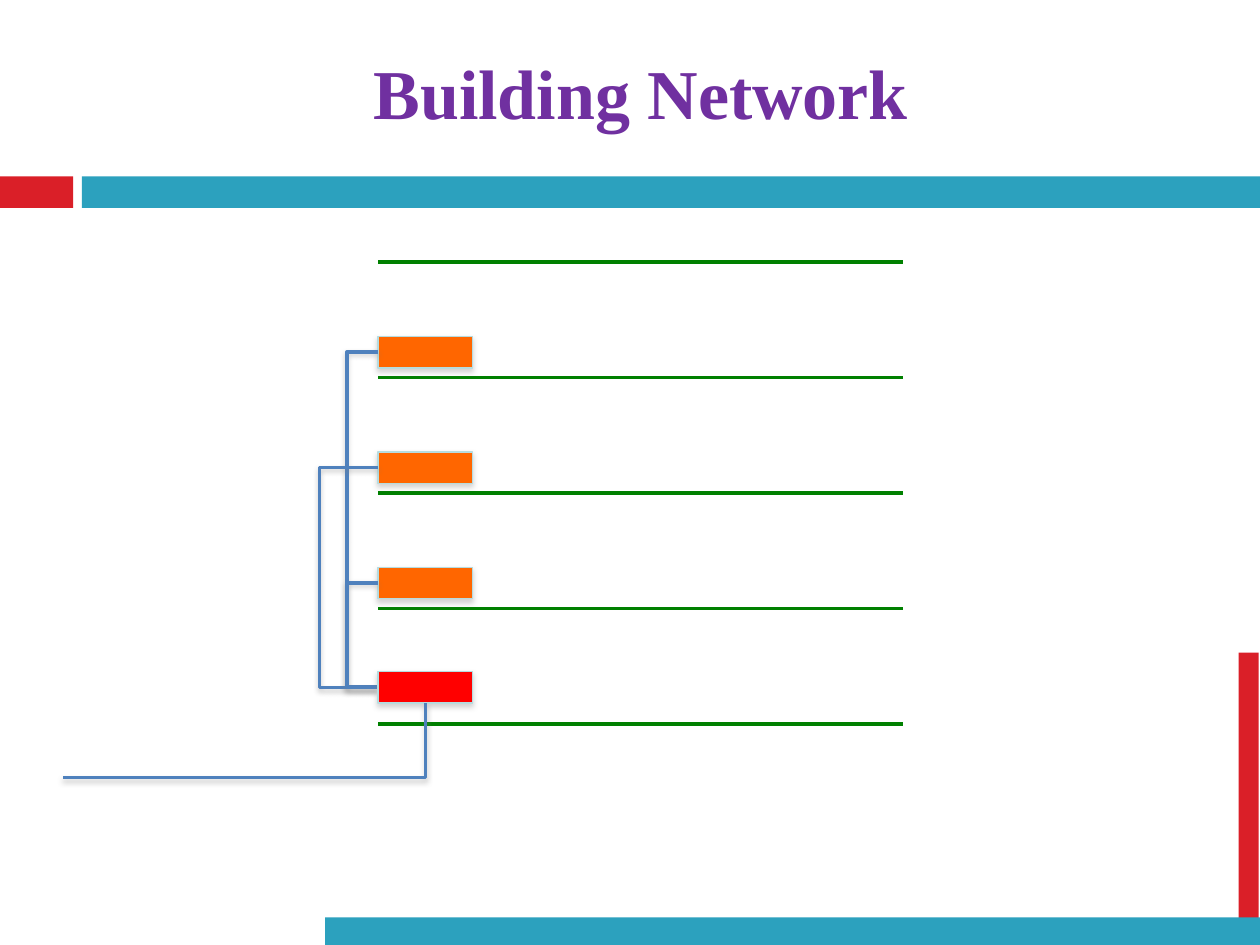
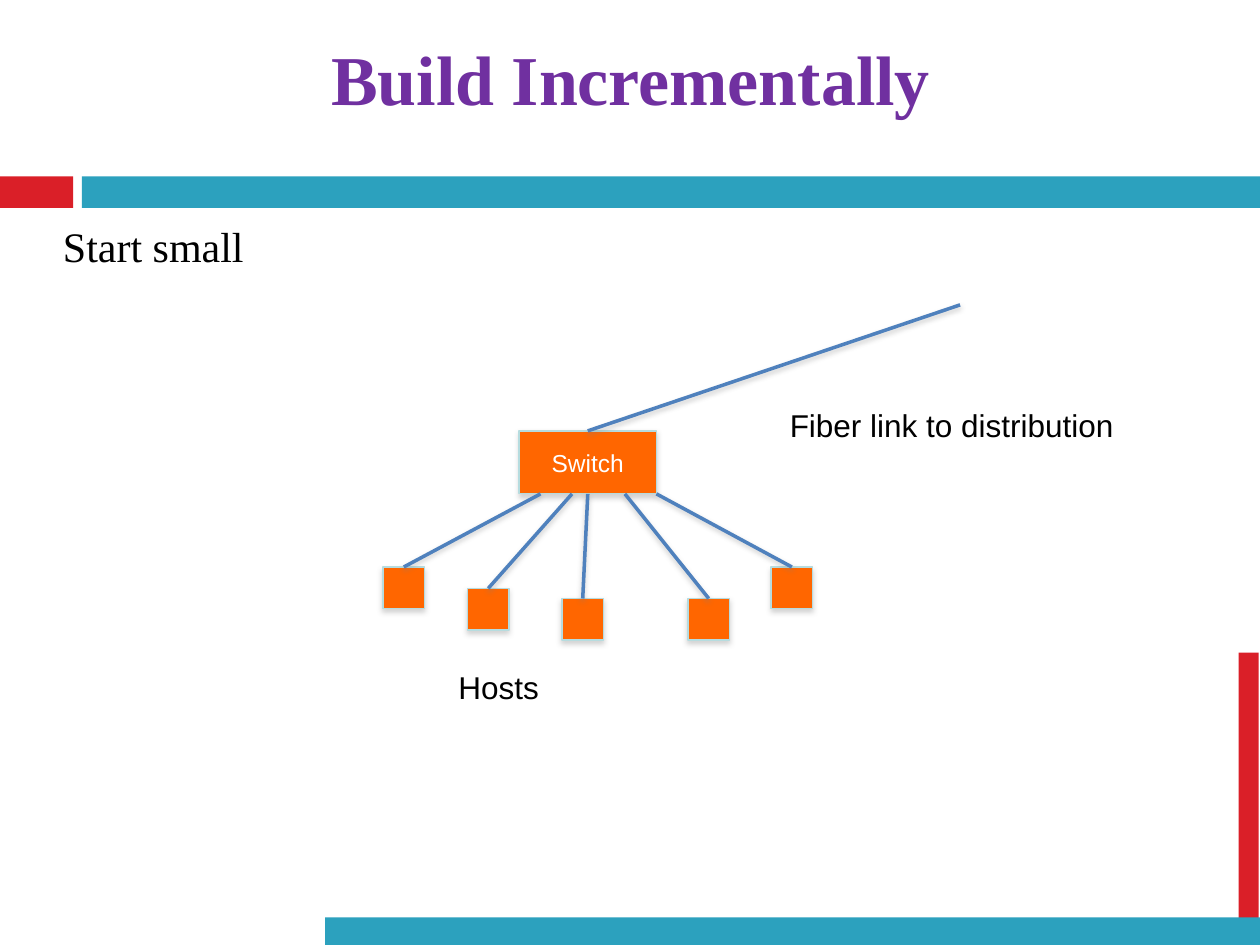
import dataclasses

import lxml.etree
import pptx
import pptx.dml.color
import pptx.enum.shapes
import pptx.enum.text
import pptx.oxml.ns
import pptx.util

Inches = pptx.util.Inches
Pt = pptx.util.Pt
qualified = pptx.oxml.ns.qn
Connector = pptx.enum.shapes.MSO_CONNECTOR
Align = pptx.enum.text.PP_ALIGN
Anchor = pptx.enum.text.MSO_ANCHOR


@dataclasses.dataclass(frozen=True)
class Theme:
    red: str = "DA1F28"
    teal: str = "2CA1BE"
    title: str = "7030A0"
    text: str = "000000"
    light_text: str = "FFFFFF"
    floor: str = "008000"
    cable: str = "4F81BD"
    device: str = "FF6600"
    main_device: str = "FF0000"
    outline: str = "B6DCDF"
    shadow: str = "808080"
    serif: str = "Times New Roman"
    sans: str = "Arial"
    title_size: int = 40
    body_size: int = 24
    label_size: int = 18
    device_size: int = 14
    line_width: float = 2
    outline_width: float = 0.75


THEME = Theme()
TOP, BOTTOM = 0, 2  # connection sites of a rectangle

# Left, top, width, height and colour of the bands on every slide
BANDS = [
    (0, 1.4, 0.58, 0.25, THEME.red),
    (0.65, 1.4, 9.35, 0.25, THEME.teal),
    (9.83, 5.18, 0.16, 2.24, THEME.red),
    (2.58, 7.28, 7.42, 0.22, THEME.teal),
]


def color(value):
    return pptx.dml.color.RGBColor.from_string(value)


def set_effects(shape, shadow_alpha=None, distance=0):
    """Write the effect list: empty, or one soft shadow falling downwards."""
    effects = lxml.etree.SubElement(shape._element.spPr, qualified("a:effectLst"))
    if shadow_alpha is None:
        return
    shadow = lxml.etree.SubElement(
        effects, qualified("a:outerShdw"), blurRad=str(Pt(3.1)),
        dist=str(Pt(distance)), dir="5400000", rotWithShape="0")
    tint = lxml.etree.SubElement(shadow, qualified("a:srgbClr"), val=THEME.shadow)
    lxml.etree.SubElement(tint, qualified("a:alpha"), val=str(shadow_alpha * 1000))


def write_text(frame, text, size, font, fill, bold=False, align=Align.LEFT):
    paragraph = frame.paragraphs[0]
    paragraph.alignment = align
    run = paragraph.add_run()
    run.text = text
    run.font.size = Pt(size)
    run.font.name = font
    run.font.bold = bold
    run.font.color.rgb = color(fill)


def clear_margins(frame):
    frame.margin_left = frame.margin_right = 0
    frame.margin_top = frame.margin_bottom = 0


def add_rectangle(slide, left, top, width, height, fill):
    shape = slide.shapes.add_shape(
        pptx.enum.shapes.MSO_SHAPE.RECTANGLE,
        Inches(left), Inches(top), Inches(width), Inches(height))
    shape.fill.solid()
    shape.fill.fore_color.rgb = color(fill)
    return shape


def add_band(slide, left, top, width, height, fill):
    band = add_rectangle(slide, left, top, width, height, fill)
    band.line.fill.background()
    band.shadow.inherit = False


def add_device(slide, left, top, width, height, fill=THEME.device, label=None):
    device = add_rectangle(slide, left, top, width, height, fill)
    device.line.color.rgb = color(THEME.outline)
    device.line.width = Pt(THEME.outline_width)
    set_effects(device, 35, 1.8)
    if label:
        device.text_frame.vertical_anchor = Anchor.MIDDLE
        write_text(device.text_frame, label, THEME.device_size, THEME.sans,
                   THEME.light_text, align=Align.CENTER)
    return device


def add_line(slide, start, end, fill, kind=Connector.STRAIGHT):
    line = slide.shapes.add_connector(
        kind, *(Inches(value) for value in (*start, *end)))
    line.line.color.rgb = color(fill)
    line.line.width = Pt(THEME.line_width)
    return line


def add_floor(slide, left, right, top):
    set_effects(add_line(slide, (left, top), (right, top), THEME.floor))


def add_cable(slide, start, end, kind=Connector.STRAIGHT):
    cable = add_line(slide, start, end, THEME.cable, kind)
    set_effects(cable, 38, 1.6)
    return cable


def add_side_cable(slide, left, top, bottom, reach):
    """Cable that leaves to the left by reach and returns further down."""
    span = 0.01
    cable = add_cable(slide, (left, top), (left - span, bottom), Connector.ELBOW)
    adjustments = cable._element.spPr.prstGeom.get_or_add_avLst()
    lxml.etree.SubElement(adjustments, qualified("a:gd"), name="adj1",
                          fmla=f"val {round(reach / span * 100000)}")


def add_corner_cable(slide, start, end):
    """Cable with one bend: first sideways, then up."""
    cable = add_cable(slide, start, end, Connector.ELBOW)
    cable._element.spPr.prstGeom.set("prst", "bentConnector2")


def add_label(slide, left, top, width, text):
    box = slide.shapes.add_textbox(
        Inches(left), Inches(top), Inches(width), Inches(0.4))
    box.text_frame.word_wrap = False
    write_text(box.text_frame, text, THEME.label_size, THEME.sans, THEME.text)


def add_body(slide, text):
    box = slide.shapes.add_textbox(Inches(0.5), Inches(1.75), Inches(9), Inches(0.4))
    box.text_frame.word_wrap = True
    clear_margins(box.text_frame)
    write_text(box.text_frame, text, THEME.body_size, THEME.serif, THEME.text)


def add_slide(presentation, title, left, top):
    """Title-only slide with the shared bands and title style."""
    slide = presentation.slides.add_slide(presentation.slide_layouts[5])
    for band in BANDS:
        add_band(slide, *band)
    holder = slide.shapes.title
    holder.left, holder.top = Inches(left), Inches(top)
    holder.width, holder.height = Inches(8.49), Inches(0.67)
    clear_margins(holder.text_frame)
    holder.text_frame.vertical_anchor = Anchor.TOP
    write_text(holder.text_frame, title, THEME.title_size, THEME.serif,
               THEME.title, bold=True, align=Align.CENTER)
    return slide


def build_network_slide(presentation):
    slide = add_slide(presentation, "Building Network", 0.84, 0.39)
    left, right, floor_gap = 3, 7.17, 11 / 12
    width, height = 0.75, 0.25
    main_top = 5.33
    main_middle = main_top + height / 2

    # Floors of the building
    for floor in range(5):
        add_floor(slide, left, right, 2.08 + floor * floor_gap)

    # One switch per upper floor, each cabled to the main switch
    for floor, reach in enumerate((0.25, 0.47, 0.25)):
        top = 2.67 + floor * floor_gap
        add_device(slide, left, top, width, height)
        add_side_cable(slide, left, top + height / 2, main_middle, reach)

    # Main switch and the cable entering the building
    add_device(slide, left, main_top, width, height, THEME.main_device)
    add_corner_cable(slide, (0.5, 6.17), (left + width / 2, main_top + height))


def build_incremental_slide(presentation):
    slide = add_slide(presentation, "Build Incrementally", 0.76, 0.28)
    add_body(slide, "Start small")

    # Switch and its uplink
    switch = add_device(slide, 4.12, 3.42, 1.09, 0.5, label="Switch")
    uplink = add_cable(slide, (4.67, 3.42), (7.62, 2.42))
    uplink.begin_connect(switch, TOP)

    # Hosts: left, top, and where the cable meets the bottom of the switch
    host_size, middle = 0.33, 4.67
    hosts = [(3.04, 4.5, 4.29), (3.71, 4.67, 4.54), (4.46, 4.75, middle),
             (5.46, 4.75, 4.96), (6.12, 4.5, 5.21)]
    for left, top, port in hosts:
        host = add_device(slide, left, top, host_size, host_size)
        cable = add_cable(slide, (left + host_size / 2, top), (port, 3.92))
        cable.begin_connect(host, TOP)
        if port == middle:
            cable.end_connect(switch, BOTTOM)

    # Labels
    add_label(slide, 3.54, 5.25, 0.85, "Hosts")
    add_label(slide, 6.17, 3.17, 2.8, "Fiber link to distribution")


def main():
    presentation = pptx.Presentation()
    presentation.slide_width = Inches(10)
    presentation.slide_height = Inches(7.5)
    build_network_slide(presentation)
    build_incremental_slide(presentation)
    presentation.save("out.pptx")


if __name__ == "__main__":
    main()
